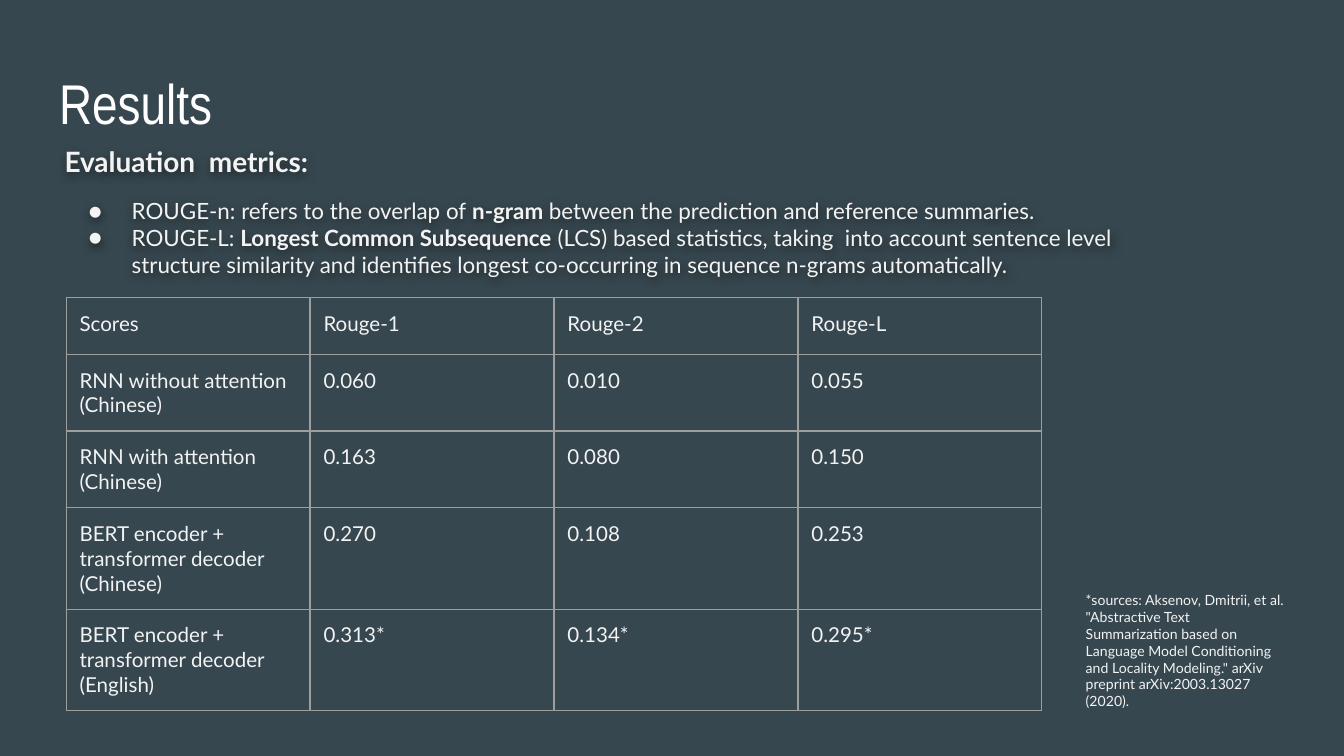
import pptx
import pptx.dml.color
import pptx.enum.text
import pptx.oxml.ns
import pptx.util
from lxml import etree

SLATE = pptx.dml.color.RGBColor(0x37, 0x47, 0x4F)
WHITE = pptx.dml.color.RGBColor(0xFF, 0xFF, 0xFF)
PALE = pptx.dml.color.RGBColor(0xF3, 0xF3, 0xF3)
GREY = pptx.dml.color.RGBColor(0x9E, 0x9E, 0x9E)

deck = pptx.Presentation()
deck.slide_width = pptx.util.Inches(10)
deck.slide_height = deck.slide_width * 9 // 16
COLUMN = deck.slide_width / 100
ROW = deck.slide_height / 100
INSET = int(COLUMN)


def style(target, values):
    for name, value in values.items():
        if name == "color":
            target.color.rgb = value
        else:
            setattr(target, name, value)


def add_xml(parent, tag, **attributes):
    texts = {name: str(value) for name, value in attributes.items()}
    return etree.SubElement(parent, pptx.oxml.ns.qn(tag), texts)


slide = deck.slides.add_slide(deck.slide_layouts[1])
slide.background.fill.solid()
slide.background.fill.fore_color.rgb = SLATE

heading = slide.shapes.title
metrics = slide.placeholders[1]
sources = slide.shapes.add_textbox(0, 0, INSET, INSET)

for box, left, top, width, height, inset in (
    (heading, 3.4, 7.3, 93.2, 11.2, INSET),
    (metrics, 3.8, 19.15, 86.8, 18, 0),
    (sources, 79.8, 76.5, 16.8, 18, INSET),
):
    style(box, {
        "left": int(left * COLUMN),
        "top": int(top * ROW),
        "width": int(width * COLUMN),
        "height": int(height * ROW),
    })
    style(box.text_frame, {
        "margin_left": INSET,
        "margin_right": INSET,
        "margin_top": inset,
        "margin_bottom": inset,
        "word_wrap": True,
        "auto_size": pptx.enum.text.MSO_AUTO_SIZE.NONE,
        "vertical_anchor": pptx.enum.text.MSO_ANCHOR.TOP,
    })

bullet_points = (
    (15, 0, False, (("Evaluation  metrics:", True),)),
    (12, 10, True, (
        ("ROUGE-n: refers to the overlap of", False),
        (" n-gram ", True),
        ("between the prediction and reference summaries.", False),
    )),
    (12, 0, True, (
        ("ROUGE-L: ", False),
        ("Longest Common Subsequence", True),
        (" (LCS) based statistics, taking  into account sentence level structure "
         "similarity and identifies longest co-occurring in sequence n-grams "
         "automatically.", False),
    )),
)
citation = (
    '*sources: Aksenov, Dmitrii, et al. "Abstractive Text Summarization based on '
    'Language Model Conditioning and Locality Modeling." arXiv preprint '
    "arXiv:2003.13027 (2020)."
)
texts = (
    (heading, "Arial Narrow", WHITE, ((30, 0, False, (("Results", False),)),)),
    (metrics, "Lato", PALE, bullet_points),
    (sources, "Lato", PALE, ((7.5, 0, False, ((citation, False),)),)),
)
for box, typeface, color, paragraphs in texts:
    for index, (size, space, bulleted, pieces) in enumerate(paragraphs):
        frame = box.text_frame
        paragraph = frame.add_paragraph() if index else frame.paragraphs[0]
        style(paragraph, {
            "alignment": pptx.enum.text.PP_ALIGN.LEFT,
            "line_spacing": 1.0,
            "space_before": pptx.util.Pt(space),
            "space_after": pptx.util.Pt(0),
        })
        layout = paragraph._p.get_or_add_pPr()
        layout.set("marL", str(int(5 * COLUMN) if bulleted else 0))
        layout.set("indent", str(int(-3.2 * COLUMN) if bulleted else 0))
        if bulleted:
            add_xml(add_xml(layout, "a:buClr"), "a:srgbClr", val=PALE)
            add_xml(layout, "a:buFont", typeface="Lato")
            add_xml(layout, "a:buChar", char="●")
        else:
            add_xml(layout, "a:buNone")
        for words, bold in pieces:
            run = paragraph.add_run()
            run.text = words
            style(run.font, {
                "name": typeface,
                "size": pptx.util.Pt(size),
                "bold": bold,
                "color": color,
            })

glow = add_xml(add_xml(metrics._element.spPr, "a:effectLst"), "a:outerShdw",
               blurRad=pptx.util.Pt(4.5), dist=pptx.util.Pt(1.5),
               dir=5400000, algn="bl", rotWithShape=0)
add_xml(add_xml(glow, "a:srgbClr", val="000000"), "a:alpha", val=50000)

scores = (
    ("Scores", "Rouge-1", "Rouge-2", "Rouge-L"),
    ("RNN without attention\n(Chinese)", "0.060", "0.010", "0.055"),
    ("RNN with attention\n(Chinese)", "0.163", "0.080", "0.150"),
    ("BERT encoder +\ntransformer decoder\n(Chinese)", "0.270", "0.108", "0.253"),
    ("BERT encoder +\ntransformer decoder (English)", "0.313*", "0.134*", "0.295*"),
)
score_width = int(18.15 * COLUMN)
score_height = int(7.47 * ROW)
score_table = slide.shapes.add_table(
    len(scores), len(scores[0]), int(4.92 * COLUMN), int(39.4 * ROW),
    score_width * len(scores[0]), score_height * len(scores),
).table
style(score_table, {"first_row": False, "horz_banding": False})

for row, entries in enumerate(scores):
    for column, entry in enumerate(entries):
        cell = score_table.cell(row, column)
        cell.text = entry
        style(cell, {
            "margin_left": INSET,
            "margin_right": INSET,
            "margin_top": INSET,
            "margin_bottom": INSET,
        })
        borders = cell._tc.get_or_add_tcPr()
        for side in ("a:lnL", "a:lnR", "a:lnT", "a:lnB"):
            edge = add_xml(borders, side, w=pptx.util.Pt(0.75))
            add_xml(add_xml(edge, "a:solidFill"), "a:srgbClr", val=GREY)
        cell.fill.background()
        for paragraph in cell.text_frame.paragraphs:
            for run in paragraph.runs:
                style(run.font, {
                    "name": "Lato",
                    "size": pptx.util.Pt(11),
                    "color": PALE,
                })

deck.save("out.pptx")
